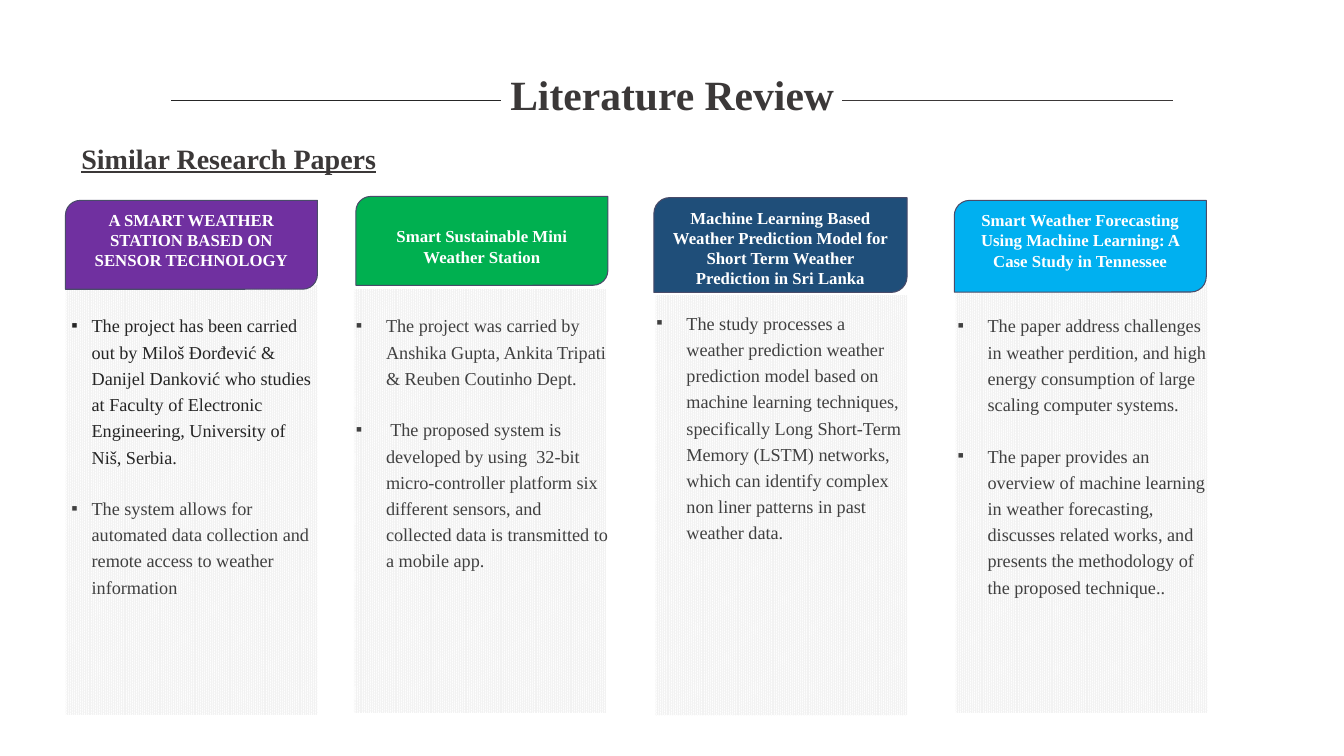
import pptx
import pptx.util
import pptx.dml.color
import pptx.enum.dml
import pptx.enum.shapes
import pptx.enum.text
import pptx.oxml
import pptx.oxml.ns
import lxml.etree

Cm, Pt = pptx.util.Cm, pptx.util.Pt
ALIGN = pptx.enum.text.PP_ALIGN
ANCHOR = pptx.enum.text.MSO_ANCHOR
SHAPE = pptx.enum.shapes.MSO_SHAPE
INK, GREY, OUTLINE = "3B3838", "404040", "494B69"


def rgb(hex_text):
    """Turn a hex string into a colour."""
    return pptx.dml.color.RGBColor.from_string(hex_text)


def apply(obj, values):
    """Set each attribute named in a dict of format values."""
    for name, value in values.items():
        setattr(obj, name, value)


class Deck:
    """Holds the style and the current slide."""

    font = "Times New Roman"

    def __init__(self, prs, layout):
        """Add a slide with the given layout."""
        self.slide = prs.slides.add_slide(prs.slide_layouts[layout])
        self.shapes = self.slide.shapes

    def place(self, sp, left, top, width, height):
        """Position an object, in centimetres."""
        apply(sp, dict(left=Cm(left), top=Cm(top), width=Cm(width), height=Cm(height)))

    def add_text(self, p, text, size, colour, **style):
        """Add one formatted run to a paragraph."""
        r = p.add_run()
        r.text = text
        apply(r.font, dict(name=self.font, size=Pt(size), **style))
        r.font.color.rgb = rgb(colour)

    def title(self, text, box):
        """Fill and move the title placeholder."""
        sp = self.shapes.title
        self.place(sp, *box)
        sp.text_frame.vertical_anchor = ANCHOR.MIDDLE
        p = sp.text_frame.paragraphs[0]
        apply(p, dict(alignment=ALIGN.CENTER, line_spacing=0.9))
        self.add_text(p, text, 29.7, INK, bold=True)

    def subtitle(self, text, box):
        """Add the underlined section heading."""
        sp = self.shapes.add_textbox(0, 0, 0, 0)
        self.place(sp, *box)
        sp.text_frame.word_wrap = True
        self.add_text(sp.text_frame.paragraphs[0], text, 20, INK, bold=True, underline=True)

    def rule(self, x1, x2, y, colour):
        """Draw a thin horizontal line."""
        sp = self.shapes.add_connector(
            pptx.enum.shapes.MSO_CONNECTOR.STRAIGHT, Cm(x1), Cm(y), Cm(x2), Cm(y))
        sp.line.width = Pt(0.5)
        sp.line.color.rgb = rgb(colour)
        lxml.etree.SubElement(sp.element.spPr, pptx.oxml.ns.qn("a:effectLst"))

    def panel(self, box):
        """Draw the patterned column background."""
        sp = self.shapes.add_shape(SHAPE.RECTANGLE, 0, 0, 0, 0)
        self.place(sp, *box)
        sp.shadow.inherit = False
        sp.line.fill.background()
        sp.fill.patterned()
        sp.fill.pattern = pptx.enum.dml.MSO_PATTERN.PERCENT_90
        sp.fill.fore_color.rgb = rgb("F2F2F2")
        sp.fill.back_color.rgb = rgb("FFFFFF")

    def header(self, text, box, colour, margin_top):
        """Draw the coloured card that names a paper."""
        sp = self.shapes.add_shape(SHAPE.ROUND_2_DIAG_RECTANGLE, 0, 0, 0, 0)
        self.place(sp, *box)
        sp.shadow.inherit = False
        sp.fill.solid()
        sp.fill.fore_color.rgb = rgb(colour)
        sp.line.color.rgb = rgb(OUTLINE)
        sp.line.width = Pt(0.75)
        tf = sp.text_frame
        apply(tf, dict(word_wrap=True, vertical_anchor=ANCHOR.TOP, margin_top=Cm(margin_top)))
        tf.paragraphs[0].alignment = ALIGN.CENTER
        self.add_text(tf.paragraphs[0], text, 12, "FFFFFF", bold=True)

    def bullets(self, idx, items, box, indent):
        """Fill a body placeholder with (text, colour) items, above its panel."""
        sp = self.slide.placeholders[idx]
        self.place(sp, *box)
        self.shapes.element.append(sp.element)
        tf = sp.text_frame
        apply(tf, dict(margin_left=0, margin_top=0, margin_right=0, margin_bottom=0,
                       word_wrap=True, vertical_anchor=ANCHOR.TOP,
                       auto_size=pptx.enum.text.MSO_AUTO_SIZE.NONE))
        for i, (text, colour) in enumerate(items):
            p = tf.add_paragraph() if i else tf.paragraphs[0]
            apply(p, dict(alignment=ALIGN.LEFT, line_spacing=1.2,
                          space_before=Pt(0), space_after=Pt(18)))
            self.add_text(p, text, 13, colour, bold=False)
            pPr = p._p.get_or_add_pPr()
            pPr.set("marL", str(Cm(indent)))
            pPr.set("indent", str(-Cm(indent)))
            for tag, key, value in (("a:buFont", "typeface", self.font),
                                    ("a:buChar", "char", "▪")):
                lxml.etree.SubElement(pPr, pptx.oxml.ns.qn(tag)).set(key, value)


# Each paper: heading, colour, header top margin, boxes of header, panel and list,
# indent, list items
PAPERS = [
    ("A SMART WEATHER STATION BASED ON SENSOR TECHNOLOGY", "7030A0", 0.13,
     (1.65, 5.05, 6.35, 2.24), (1.65, 7.19, 6.35, 10.82), (1.8, 7.82, 6.05, 7.24), 0.51,
     [("The project has been carried out by Miloš Đorđević & Danijel Danković who "
       "studies at Faculty of Electronic Engineering, University of Niš, Serbia.", "252525"),
      ("The system allows for automated data collection and remote access to "
       "weather information", GREY)]),
    ("Smart Sustainable Mini Weather Station", "00B050", 0.64,
     (8.97, 4.95, 6.35, 2.24), (8.92, 7.29, 6.35, 10.67), (8.97, 7.82, 6.35, 6.58), 0.76,
     [("The project was carried by Anshika Gupta, Ankita Tripati & Reuben Coutinho "
       "Dept.", GREY),
      (" The proposed system is developed by using  32-bit micro-controller platform six "
       "different sensors, and collected data is transmitted to a mobile app.", GREY)]),
    ("Machine Learning Based Weather Prediction Model for Short Term Weather "
     "Prediction in Sri Lanka", "1F4E79", 0.13,
     (16.48, 4.98, 6.38, 2.39), (16.51, 7.44, 6.35, 10.59), (16.54, 7.75, 6.32, 5.94), 0.76,
     [("The study processes a weather prediction weather prediction model based on "
       "machine learning techniques, specifically Long Short-Term Memory (LSTM) "
       "networks, which can identify complex non liner patterns in past weather data.",
       GREY)]),
    ("Smart Weather Forecasting Using Machine Learning: A Case Study in Tennessee",
     "00B0F0", 0.13,
     (24.05, 5.05, 6.35, 2.31), (24.08, 7.14, 6.35, 10.82), (24.13, 7.82, 6.27, 9.17), 0.76,
     [("The paper address challenges in weather perdition, and high energy consumption "
       "of large scaling computer systems.", GREY),
      ("The paper provides an overview of machine learning in weather forecasting, "
       "discusses related works, and presents the methodology of the proposed "
       "technique..", GREY)]),
]

prs = pptx.Presentation()
apply(prs, dict(slide_width=Cm(33.87), slide_height=Cm(19.05)))
deck = Deck(prs, 4)  # Comparison layout: a title and four body placeholders
deck.title("Literature Review", (2.34, 1.02, 29.21, 2.86))
deck.rule(4.32, 12.62, 2.53, "262626")
deck.rule(21.23, 29.57, 2.53, INK)
deck.subtitle("Similar Research Papers", (1.8, 3.43, 8.33, 1.12))
for idx, (name, colour, margin, head, panel, body, indent, items) in enumerate(PAPERS, 1):
    deck.panel(panel)
    deck.bullets(idx, items, body, indent)
    deck.header(name, head, colour, margin)
for sp in list(deck.slide.placeholders):
    if not sp.text_frame.text:
        deck.shapes.element.remove(sp.element)
prs.save("out.pptx")
